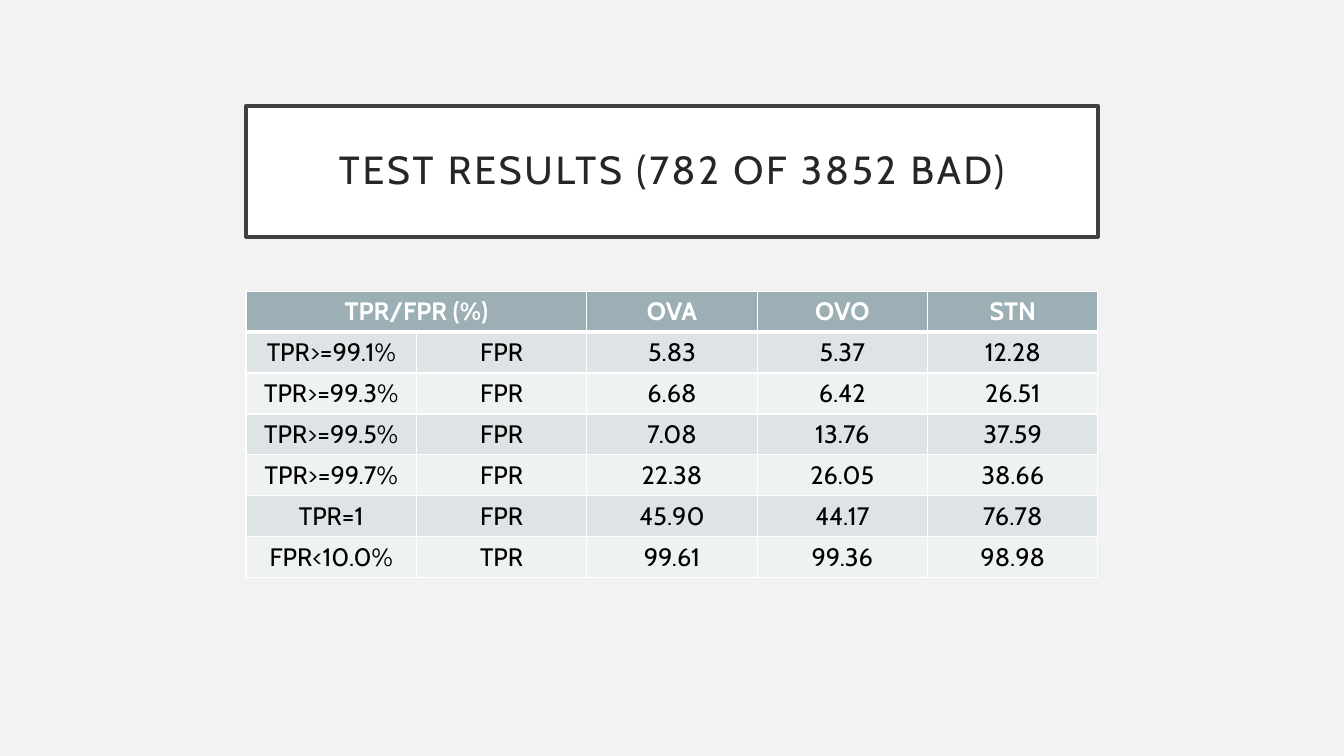
from lxml.etree import SubElement
from pptx import Presentation
from pptx.dml.color import RGBColor
from pptx.enum.shapes import MSO_SHAPE
from pptx.enum.text import MSO_ANCHOR, PP_ALIGN
from pptx.oxml.ns import qn
from pptx.util import Inches, Pt

COLORS = {
    "page": "F2F2F2",
    "white": "FFFFFF",
    "frame": "404040",
    "title": "262626",
    "header": "9BAFB5",
    "odd_row": "DEE3E5",
    "even_row": "EFF2F3",
    "body": "000000",
}
LEFT, WIDTH = 2.44, 8.45
ROW_HEIGHT = 2.84 / 7
HEADER = ["TPR/FPR (%)", "", "OVA", "OVO", "STN"]
RESULTS = [
    ["TPR>=99.1%", "FPR", "5.83", "5.37", "12.28"],
    ["TPR>=99.3%", "FPR", "6.68", "6.42", "26.51"],
    ["TPR>=99.5%", "FPR", "7.08", "13.76", "37.59"],
    ["TPR>=99.7%", "FPR", "22.38", "26.05", "38.66"],
    ["TPR=1", "FPR", "45.90", "44.17", "76.78"],
    ["FPR<10.0%", "TPR", "99.61", "99.36", "98.98"],
]


def paint(fill, color):
    fill.solid()
    fill.fore_color.rgb = RGBColor.from_string(COLORS[color])


def write(frame, text, size=18, color="body", bold=False, line_spacing=None, tracking=0):
    """Put one centred line of text in a frame; tracking is in points."""
    para = frame.paragraphs[0]
    para.alignment = PP_ALIGN.CENTER
    para.line_spacing = line_spacing
    span = para.add_run()
    span.text = text
    span.font.name = "Cabin"
    span.font.size = Pt(size)
    span.font.bold = bold
    span.font.color.rgb = RGBColor.from_string(COLORS[color])
    if tracking:
        span._r.get_or_add_rPr().set("spc", str(tracking * 100))


def add_borders(cell, top=1, bottom=1):
    """Draw white cell borders; must run before the cell is filled."""
    properties = cell._tc.get_or_add_tcPr()
    for side, points in (("L", 1), ("R", 1), ("T", top), ("B", bottom)):
        line = SubElement(properties, qn(f"a:ln{side}"), w=str(Pt(points)))
        fill = SubElement(line, qn("a:solidFill"))
        SubElement(fill, qn("a:srgbClr"), val=COLORS["white"])


class SlideBuilder:
    def __init__(self, deck):
        self.page = deck.slides.add_slide(deck.slide_layouts[6])
        paint(self.page.background.fill, "page")

    def title_box(self, text, top, height):
        box = self.page.shapes.add_shape(
            MSO_SHAPE.RECTANGLE, Inches(LEFT), Inches(top), Inches(WIDTH), Inches(height))
        box.shadow.inherit = False
        paint(box.fill, "white")
        paint(box.line.fill, "frame")
        box.line.width = Pt(2.5)
        frame = box.text_frame
        frame.word_wrap = True
        frame.vertical_anchor = MSO_ANCHOR.MIDDLE
        frame.margin_left = frame.margin_right = Inches(0.2)
        frame.margin_top = frame.margin_bottom = Inches(0.2)
        write(frame, text, size=28, color="title", line_spacing=0.9, tracking=2)

    def results_table(self, rows, top):
        table = self.page.shapes.add_table(
            len(rows), len(rows[0]), Inches(LEFT), Inches(top),
            Inches(WIDTH), Inches(ROW_HEIGHT * len(rows))).table
        table.cell(0, 0).merge(table.cell(0, 1))
        for row, values in enumerate(rows):
            is_header = row == 0
            fill = "header" if is_header else "odd_row" if row % 2 else "even_row"
            for column, text in enumerate(values):
                cell = table.cell(row, column)
                add_borders(cell, top=3 if row == 1 else 1, bottom=3 if is_header else 1)
                paint(cell.fill, fill)
                cell.vertical_anchor = MSO_ANCHOR.MIDDLE
                if text:
                    write(cell.text_frame, text, bold=is_header,
                          color="white" if is_header else "body")


def main():
    deck = Presentation()
    deck.slide_width, deck.slide_height = Inches(13.33), Inches(7.5)
    slide = SlideBuilder(deck)
    slide.title_box("TEST RESULTS (782 OF 3852 BAD)", top=1.05, height=1.3)
    slide.results_table([HEADER] + RESULTS, top=2.89)
    deck.save("out.pptx")


if __name__ == "__main__":
    main()
